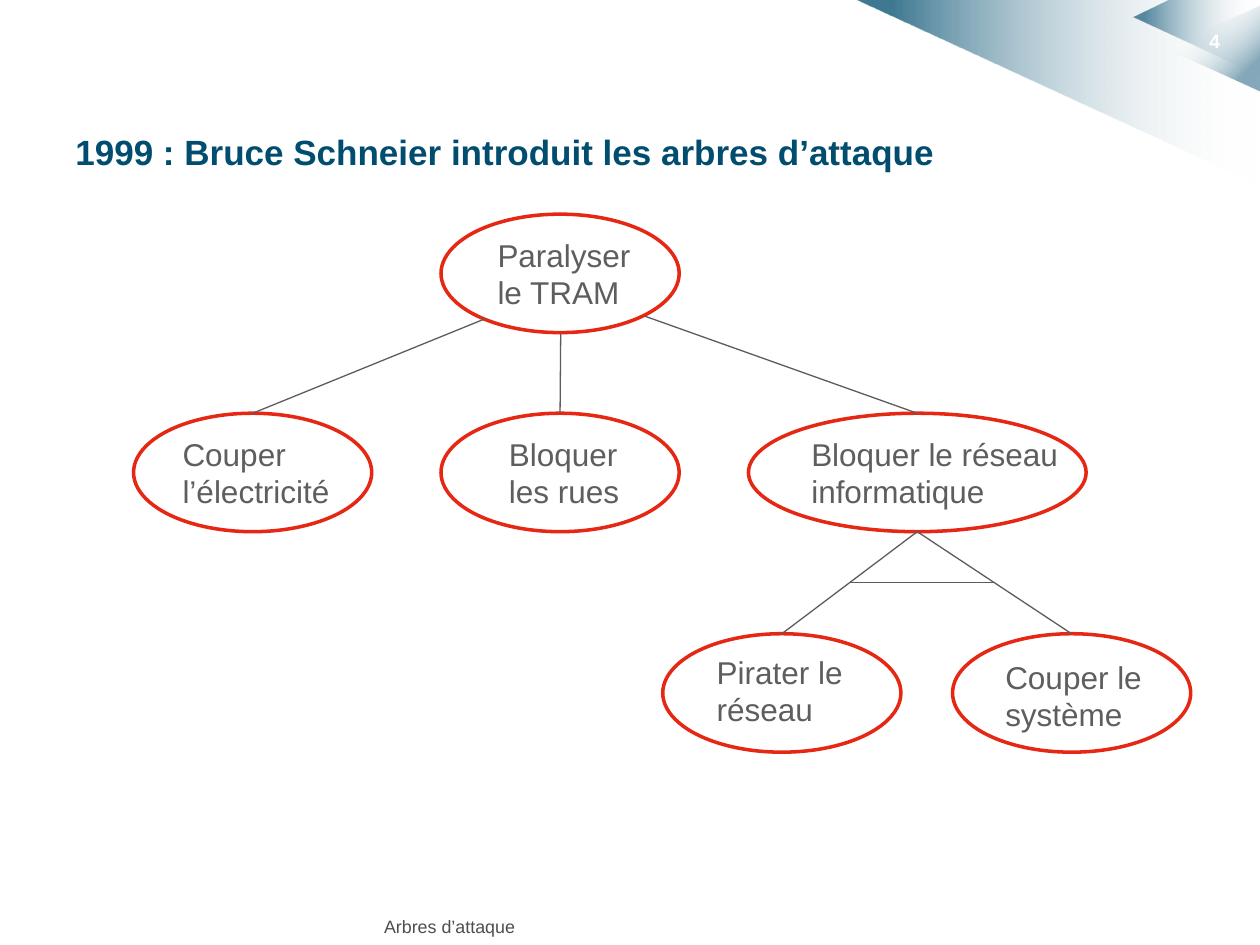
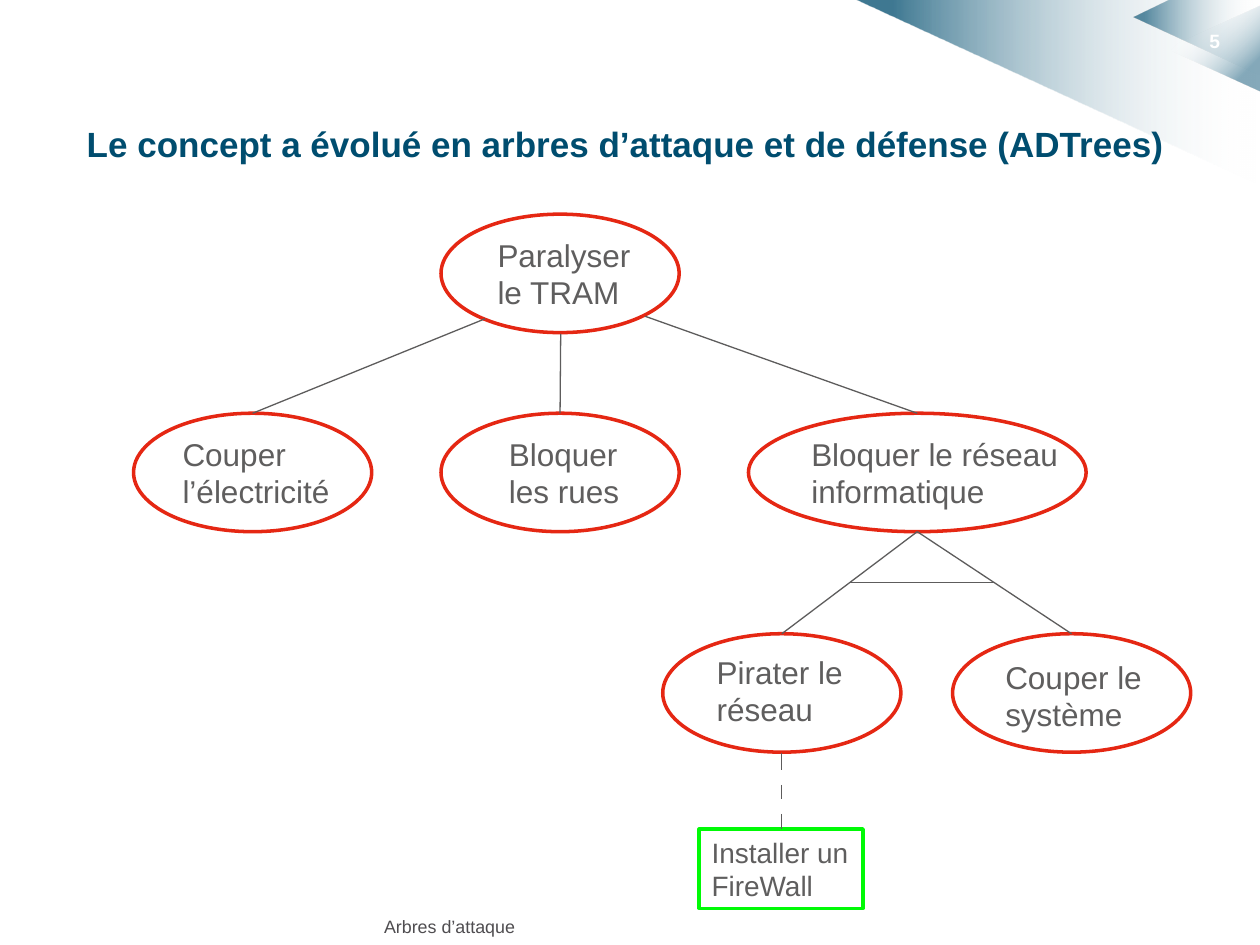
from lxml import etree
from pptx import Presentation
from pptx.dml.color import RGBColor
from pptx.enum.shapes import MSO_CONNECTOR, MSO_SHAPE
from pptx.oxml import parse_xml
from pptx.oxml.ns import nsdecls, qn
from pptx.util import Inches, Pt

NAVY = RGBColor(0x00, 0x4D, 0x6F)
WHITE = RGBColor(0xFF, 0xFF, 0xFF)
ATTACK_RED = RGBColor(0xE5, 0x27, 0x13)
DEFENSE_GREEN = RGBColor(0x00, 0xFA, 0x06)
NODE_GRAY = RGBColor(0x5F, 0x5E, 0x5E)
EDGE_GRAY = RGBColor(0x5D, 0x5C, 0x5C)
FOOTER_GRAY = RGBColor(0x4F, 0x4D, 0x50)

TITLE_FORMAT = {"size": Pt(20), "bold": True, "color": NAVY}
FOOTER_FORMAT = {"size": Pt(10.2), "color": FOOTER_GRAY}
NUMBER_FORMAT = {"size": Pt(11), "bold": True, "color": WHITE}
NODE_FORMAT = {"size": Pt(18), "color": NODE_GRAY}
DEFENSE_FORMAT = {"size": Pt(16), "color": NODE_GRAY}

# number, title, title box, whether the defense node shows
SLIDES = [
    (4, "1999 : Bruce Schneier introduit les arbres d’attaque",
     (0.5, 0.99, 9, 6.06), False),
    (5, "Le concept a évolué en arbres d’attaque et de défense (ADTrees)",
     (0.59, 0.92, 9.03, 6.22), True),
]
FOOTER = "Arbres d’attaque"

# name: text, ellipse (left, top, width), label (left, top, width)
NODE_HEIGHT, LABEL_HEIGHT = 0.94, 0.71
ATTACK_NODES = {
    "goal": ("Paralyser le TRAM", (3.5, 1.7, 1.89), (3.85, 1.82, 1.42)),
    "power": ("Couper l’électricité", (1.06, 3.28, 1.89), (1.35, 3.4, 1.42)),
    "streets": ("Bloquer les rues", (3.5, 3.28, 1.89), (3.94, 3.4, 1.23)),
    "network": ("Bloquer le réseau informatique", (5.94, 3.28, 2.68), (6.34, 3.4, 2.28)),
    "hack": ("Pirater le réseau", (5.26, 5.03, 1.89), (5.59, 5.13, 1.5)),
    "system": ("Couper le système", (7.56, 5.03, 1.89), (7.88, 5.17, 1.42)),
}
NETWORK_BOTTOM = (7.28, 4.22)
EDGES = [
    ((3.85, 2.53), "power"),
    ((4.45, 2.65), "streets"),
    ((5.12, 2.51), "network"),
    (NETWORK_BOTTOM, "hack"),
    (NETWORK_BOTTOM, "system"),
]
DEFENSE = ("Installer un FireWall", (5.55, 6.58, 1.3, 0.63))
DASHES = [(5.98, 6.11), (6.23, 6.34), (6.46, 6.58)]

# outline, opacity of the dark end
CORNER_BANDS = [
    ([(10, 1.47), (6.79, 0), (10, 0)], 75),
    ([(10, 0.6), (9, 0.14), (9.29, 0), (10, 0)], 63),
]
CORNER_TRIANGLE = (9.29, 0.01, 0.68, 0.75)


def inches(values):
    return [Inches(value) for value in values]


def add_text(slide, text, box, text_format, space_before=0):
    text_box = slide.shapes.add_textbox(*inches(box))
    text_box.text_frame.word_wrap = True
    paragraph = text_box.text_frame.paragraphs[0]
    paragraph.space_before = Pt(space_before)
    run = paragraph.add_run()
    run.text = text
    run.font.name = "Arial"
    for name, value in text_format.items():
        if name == "color":
            run.font.color.rgb = value
        else:
            setattr(run.font, name, value)


def add_node(slide, preset, box, line_color):
    shape = slide.shapes.add_shape(preset, *inches(box))
    shape.shadow.inherit = False
    shape.fill.solid()
    shape.fill.fore_color.rgb = WHITE
    shape.line.color.rgb = line_color
    shape.line.width = Pt(2)
    return shape


def add_edge(slide, start, end, target=None):
    """Draw a thin line; a target is joined at its top."""
    connector = slide.shapes.add_connector(
        MSO_CONNECTOR.STRAIGHT, *inches(start + end))
    if target is not None:
        connector.end_connect(target, 0)
    connector.line.color.rgb = EDGE_GRAY
    connector.line.width = Pt(0.75)
    properties = connector._element.spPr
    etree.SubElement(properties, qn("a:effectLst"))


def fade(shape, white_stop, navy_stop, opacity, angle):
    """Fill with a gradient from clear white to translucent navy."""
    shape.shadow.inherit = False
    shape.line.fill.background()
    gradient = parse_xml(
        f'<a:gradFill {nsdecls("a")} rotWithShape="1"><a:gsLst>'
        f'<a:gs pos="{white_stop * 1000}"><a:srgbClr val="{WHITE}">'
        f'<a:alpha val="0"/></a:srgbClr></a:gs>'
        f'<a:gs pos="{navy_stop * 1000}"><a:srgbClr val="{NAVY}">'
        f'<a:alpha val="{opacity * 1000}"/></a:srgbClr></a:gs>'
        f'</a:gsLst><a:lin ang="{angle * 60000}" scaled="0"/></a:gradFill>')
    shape.line._ln.addprevious(gradient)


def add_frame(slide, number, title, title_box):
    for outline, opacity in CORNER_BANDS:
        points = [inches(point) for point in outline]
        builder = slide.shapes.build_freeform(*points[0])
        builder.add_line_segments(points[1:], close=True)
        fade(builder.convert_to_shape(), 1, 91, opacity, 180)
    triangle = slide.shapes.add_shape(
        MSO_SHAPE.ISOSCELES_TRIANGLE, *inches(CORNER_TRIANGLE))
    triangle.rotation = 270
    fade(triangle, 27, 81, 48, 135)
    add_text(slide, str(number), (9.5, 0.18, 0.5, 0.4), NUMBER_FORMAT)
    add_text(slide, title, title_box, TITLE_FORMAT, space_before=2)
    add_text(slide, FOOTER, (2.95, 7.22, 5.83, 0.24), FOOTER_FORMAT)


def add_attack_tree(slide):
    ellipses = {}
    for name, (text, place, label) in ATTACK_NODES.items():
        ellipses[name] = add_node(
            slide, MSO_SHAPE.OVAL, place + (NODE_HEIGHT,), ATTACK_RED)
        add_text(slide, text, label + (LABEL_HEIGHT,), NODE_FORMAT)

    def top_of(name):
        left, top, width = ATTACK_NODES[name][1]
        return left + width / 2, top

    for start, child in EDGES:
        add_edge(slide, start, top_of(child), ellipses[child])

    # The "and" bar joins the midpoints of the two network branches
    middles = [tuple((a + b) / 2 for a, b in zip(NETWORK_BOTTOM, top_of(child)))
               for child in ("hack", "system")]
    add_edge(slide, *middles)


def add_defense(slide):
    text, box = DEFENSE
    rectangle = add_node(slide, MSO_SHAPE.RECTANGLE, box, DEFENSE_GREEN)
    center = box[0] + box[2] / 2
    for top, bottom in DASHES:
        target = rectangle if bottom == box[1] else None
        add_edge(slide, (center, top), (center, bottom), target)
    add_text(slide, text, box, DEFENSE_FORMAT)


def main():
    presentation = Presentation()
    presentation.slide_width = Inches(10)
    presentation.slide_height = Inches(7.5)
    for number, title, title_box, has_defense in SLIDES:
        slide = presentation.slides.add_slide(presentation.slide_layouts[6])
        add_frame(slide, number, title, title_box)
        add_attack_tree(slide)
        if has_defense:
            add_defense(slide)
    presentation.save("out.pptx")


if __name__ == "__main__":
    main()
